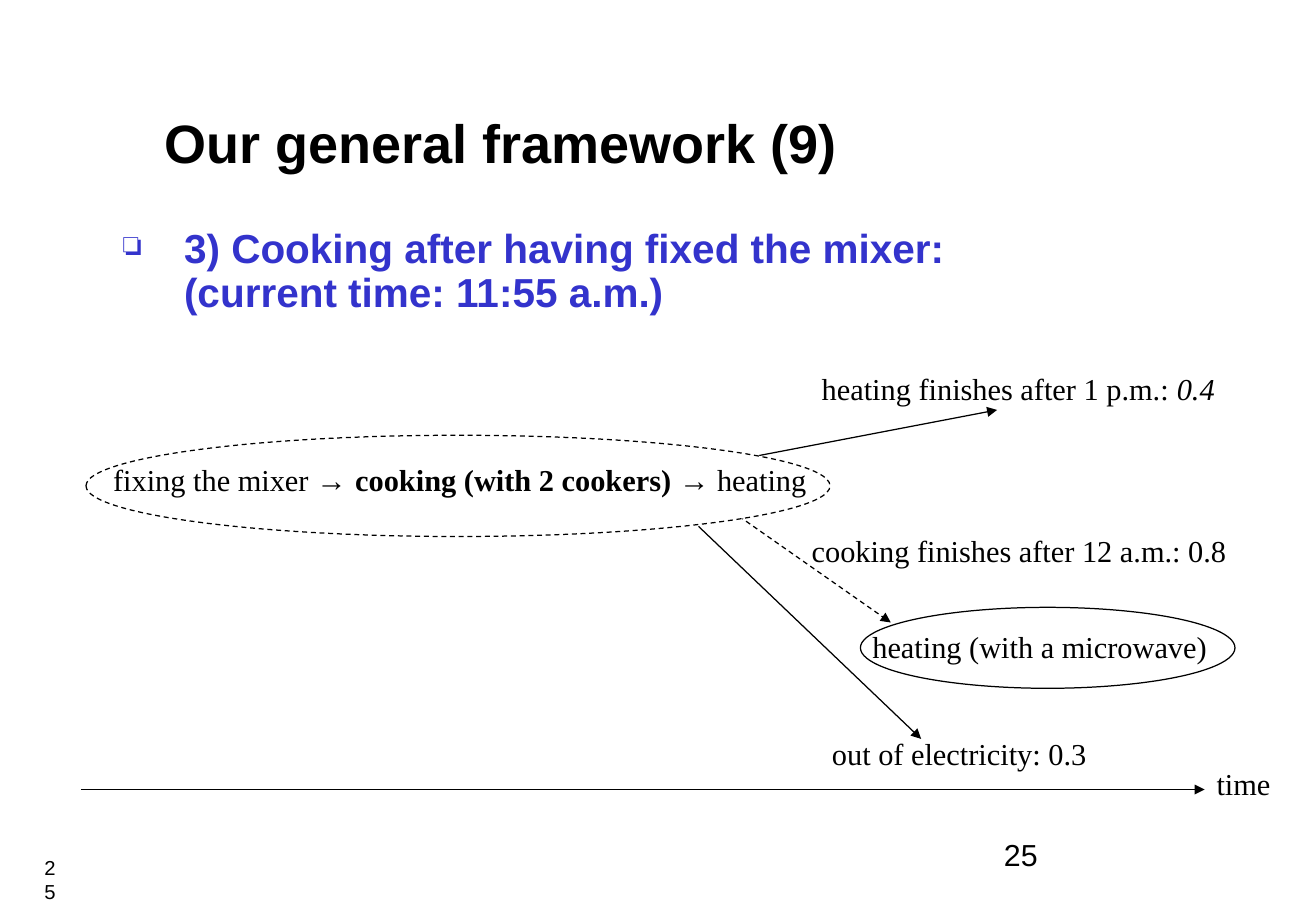
from lxml.etree import SubElement
from pptx import Presentation
from pptx.dml.color import RGBColor
from pptx.enum.dml import MSO_LINE
from pptx.enum.shapes import MSO_CONNECTOR, MSO_SHAPE
from pptx.enum.text import MSO_ANCHOR, PP_ALIGN
from pptx.oxml.ns import qn
from pptx.util import Inches, Pt

COLORS = {"ink": "000000", "heading": "3333CC", "paper": "FFFFFF"}
SANS, SERIF = "Arial", "Times New Roman"
CELL = Inches(1) / 12
COLUMNS, ROWS = 130, 90
LABEL_HEIGHT = 4.5

deck = Presentation()
deck.slide_width, deck.slide_height = int(COLUMNS * CELL), int(ROWS * CELL)
slide = deck.slides.add_slide(deck.slide_layouts[6])


def grid(*cells):
    return [int(cell * CELL) for cell in cells]


def write(area, pieces, size=18, font=SERIF, bold=False, color="ink"):
    frame = slide.shapes.add_textbox(*grid(*area)).text_frame
    frame.word_wrap = True
    for text, changes in pieces:
        run = frame.paragraphs[0].add_run()
        run.text = text
        run.font.size = Pt(size)
        run.font.color.rgb = RGBColor.from_string(COLORS[color])
        run.font.name = changes.get("font", font)
        run.font.bold = changes.get("bold", bold)
        run.font.italic = changes.get("italic", False)
    return frame


page_corner = write((3.2, 83.9, 2.9, 4), [("25", {})], 12, SANS)
page_corner.paragraphs[0].alignment = PP_ALIGN.CENTER

title = write((15.1, 9, 101.9, 10), [("Our general framework (9)", {})], 32, SANS, True)
title.vertical_anchor = MSO_ANCHOR.MIDDLE

scenario = write(
    (11, 22, 86, 10),
    [("3) Cooking after having fixed the mixer: (current time: 11:55 a.m.)", {})],
    24, SANS, True, "heading",
).paragraphs[0]
scenario.line_spacing = 0.9
indent = scenario._p.get_or_add_pPr()
indent.set("marL", str(Inches(0.5)))
indent.set("indent", str(Inches(-0.5)))
bullet_color = SubElement(indent, qn("a:buClr"))
SubElement(bullet_color, qn("a:srgbClr"), val=COLORS["heading"])
SubElement(indent, qn("a:buSzPct"), val="80000")
SubElement(indent, qn("a:buChar"), char="❏")

arrows = [
    (8, 78, 119, 78, False),
    (69, 52, 91, 73, False),
    (73, 51, 88, 61.5, True),
    (75, 45, 98.5, 40.5, False),
]
for *ends, dashed in arrows:
    arrow = slide.shapes.add_connector(MSO_CONNECTOR.STRAIGHT, *grid(*ends))
    arrow.line.color.rgb = RGBColor.from_string(COLORS["ink"])
    arrow.line.width = Pt(0.75)
    if dashed:
        arrow.line.dash_style = MSO_LINE.DASH
    SubElement(arrow.line._get_or_add_ln(), qn("a:tailEnd"), type="triangle")
    SubElement(arrow._element.spPr, qn("a:effectLst"))

for *area, dashed in [(8.5, 43, 73.5, 10, True), (85, 60, 37, 8, False)]:
    plan = slide.shapes.add_shape(MSO_SHAPE.OVAL, *grid(*area))
    plan.shadow.inherit = False
    plan.fill.solid()
    plan.fill.fore_color.rgb = RGBColor.from_string(COLORS["paper"])
    plan.line.color.rgb = RGBColor.from_string(COLORS["ink"])
    plan.line.width = Pt(0.75)
    if dashed:
        plan.line.dash_style = MSO_LINE.DASH

labels = [
    (119, 75, 9, [("time", {})]),
    (81, 72, 28.5, [("out of electricity: 0.3", {})]),
    (79, 52, 44, [("cooking finishes after 12 a.m.: 0.8", {})]),
    (10, 45, 71, [
        ("fixing the mixer ", {}),
        ("→ ", {"font": SANS}),
        ("cooking (with 2 cookers) ", {"bold": True}),
        ("→", {"font": SANS}),
        (" heating", {}),
    ]),
    (85, 61.5, 37, [("heating (with a microwave)", {})]),
    (80, 36, 43, [("heating finishes after 1 p.m.: ", {}), ("0.4", {"italic": True})]),
]
for left, top, width, pieces in labels:
    write((left, top, width, LABEL_HEIGHT), pieces)

write((98, 82, 27, 6), [("25", {})], font=SANS)

deck.save("out.pptx")
